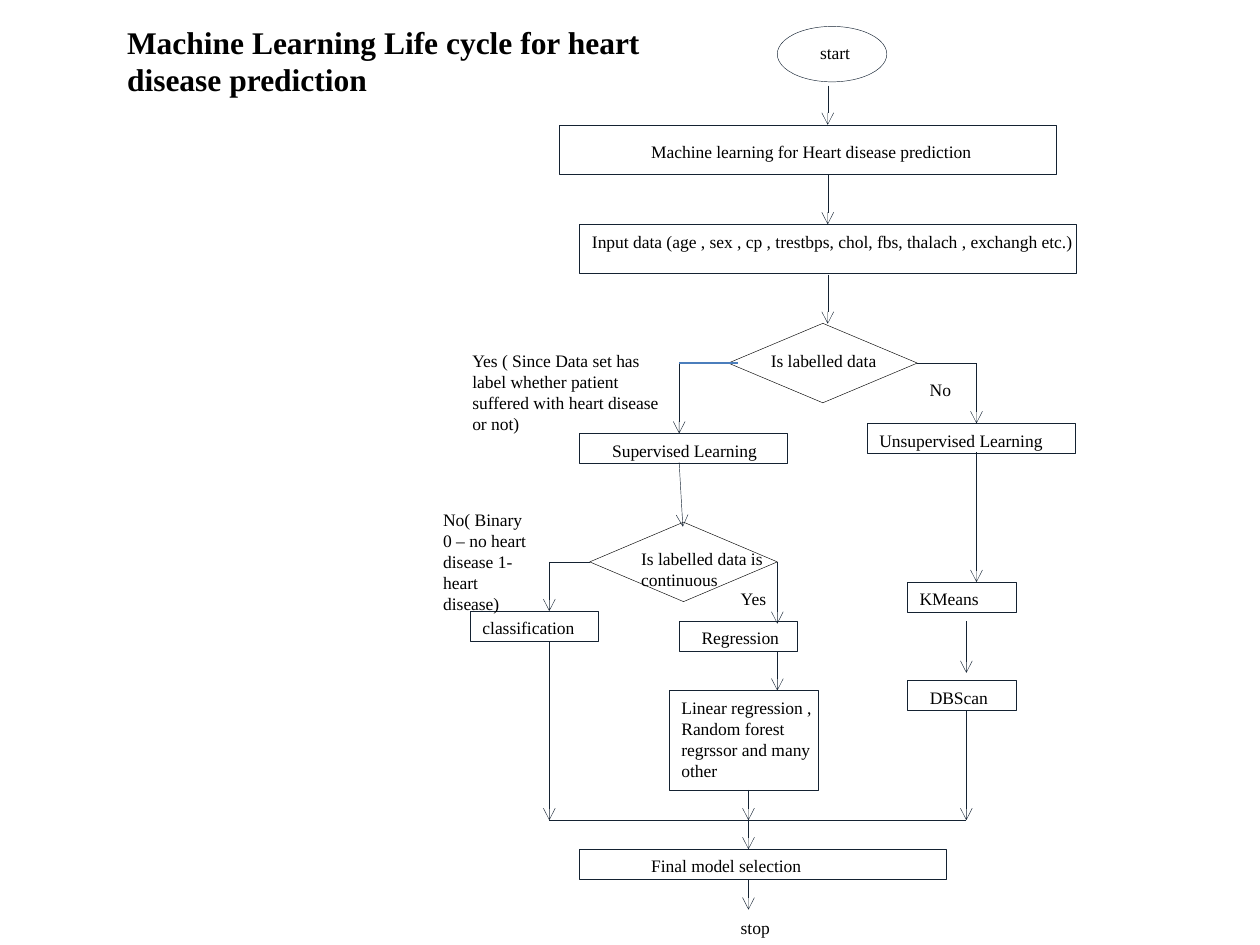
from lxml import etree
from pptx import Presentation
from pptx.dml.color import RGBColor
from pptx.enum.shapes import MSO_CONNECTOR, MSO_SHAPE
from pptx.enum.text import MSO_AUTO_SIZE
from pptx.oxml.ns import qn
from pptx.util import Pt

FONT = "Times New Roman"
BLACK, NAVY, BLUE = "000000", "142232", "4B7EBC"
LEFT, RIGHT = 1, 3  # connection sites

# Centre lines of the flow and heights of its turns
MAIN, UNSUPERVISED, SUPERVISED = 473, 558, 388.1
CLASSIFICATION, REGRESSION, CLUSTERING, FINAL = 313.9, 444.2, 552.2, 427.7
LABELLED_Y, CONTINUOUS_Y, MERGE_Y = 207.5, 321.1, 468.7
STEP_H, BAND_H, DECISION_H = 17.3, 28.1, 45.4

# Outlines: name -> (preset, left, top, width, height, line colour)
RECT, DIAMOND = MSO_SHAPE.RECTANGLE, MSO_SHAPE.DIAMOND
outlines = {
    "start": (MSO_SHAPE.OVAL, 444.2, 15.1, 62.6, 31.7, NAVY),
    "topic": (RECT, 319.7, 71.3, 283.7, BAND_H, NAVY),
    "input": (RECT, 331.2, 128.2, 283.7, BAND_H, NAVY),
    "labelled": (DIAMOND, 416.2, LABELLED_Y - DECISION_H / 2, 108, DECISION_H, BLACK),
    "supervised": (RECT, 331.2, 247.7, 118.8, STEP_H, NAVY),
    "unsupervised": (RECT, 495.4, 241.9, 118.8, STEP_H, NAVY),
    "continuous": (DIAMOND, 337, CONTINUOUS_Y - DECISION_H / 2, 107.2, DECISION_H, BLACK),
    "classification": (RECT, 268.6, 349.2, 73.4, STEP_H, NAVY),
    "regression": (RECT, 388.1, 355, 67.7, STEP_H, NAVY),
    "regressors": (RECT, 382.3, 394.6, 85, 56.9, NAVY),
    "kmeans": (RECT, 518.4, 332.6, 62.6, STEP_H, NAVY),
    "dbscan": (RECT, 518.4, 388.8, 62.6, STEP_H, NAVY),
    "final": (RECT, 331.2, 485.3, 209.5, STEP_H, NAVY),
}

# Labels: (text, left, top, width, height)
LINE_H = 19.4
labels = [
    ("start", 461.5, 20.2, 73.4, LINE_H),
    ("Machine learning for Heart disease prediction", 365, 77, 295.2, LINE_H),
    ("Input data (age , sex , cp , trestbps, chol, fbs, thalach , exchangh etc.)",
     331.2, 128.2, 300.2, LINE_H),
    ("Is labelled data", 433.4, 196.6, 169.9, LINE_H),
    ("Yes ( Since Data set has label whether patient suffered with heart disease or not)",
     262.8, 196.6, 130.3, 55.4),
    ("No", 524.2, 213.1, 67.7, LINE_H),
    ("Supervised Learning", 342.7, 247.7, 130.3, LINE_H),
    ("Unsupervised Learning", 495.4, 241.9, 169.9, LINE_H),
    ("Is labelled data is continuous", 359.3, 309.6, 85, 31.7),
    ("No( Binary 0 – no heart disease 1- heart disease)", 246.2, 287.3, 62.6, 67.7),
    ("Yes", 416.2, 332.6, 45.4, LINE_H),
    ("classification", 268.6, 349.2, 102.2, LINE_H),
    ("Regression", 393.8, 355, 102.2, LINE_H),
    ("Linear regression , Random forest regrssor and many other",
     382.3, 394.6, 90.7, 55.4),
    ("KMeans", 518.4, 332.6, 56.9, LINE_H),
    ("DBScan", 524.2, 388.8, 56.9, LINE_H),
    ("Final model selection", 365, 485.3, 169.9, LINE_H),
    ("stop", 416.2, 520.6, 62.6, LINE_H),
]

# Vertical arrows: (x, top, bottom)
down_arrows = [
    (MAIN, 49, 71.3), (MAIN, 100.1, 128.2), (MAIN, 157, 185),
    (SUPERVISED, LABELLED_Y, 247.7), (UNSUPERVISED, LABELLED_Y, 241.9),
    (UNSUPERVISED, 258.5, 332.6), (CLUSTERING, 355, 384.5),
    (CLUSTERING, 406.1, MERGE_Y), (CLASSIFICATION, CONTINUOUS_Y, 349.2),
    (CLASSIFICATION, 366.5, MERGE_Y), (REGRESSION, 372.2, 394.6),
    (FINAL, 451.4, MERGE_Y), (FINAL, MERGE_Y, 485.3), (FINAL, 502.6, 519.8),
]

prs = Presentation()
prs.slide_width, prs.slide_height = Pt(720), Pt(540)
slide = prs.slides.add_slide(prs.slide_layouts[6])


def color(hex_value):
    return RGBColor.from_string(hex_value)


def add_outline(preset, left, top, width, height, line):
    outline = slide.shapes.add_shape(preset, Pt(left), Pt(top), Pt(width), Pt(height))
    outline.shadow.inherit = False
    outline.fill.background()
    outline.line.color.rgb = color(line)
    outline.line.width = Pt(0.25)
    return outline


def add_label(text, left, top, width, height, size=10, bold=False):
    label = slide.shapes.add_textbox(Pt(left), Pt(top), Pt(width), Pt(height))
    frame = label.text_frame
    frame.word_wrap = True
    frame.auto_size = MSO_AUTO_SIZE.SHAPE_TO_FIT_TEXT
    run = frame.paragraphs[0].add_run()
    run.text = text
    run.font.name, run.font.size, run.font.bold = FONT, Pt(size), bold
    run.font.color.rgb = color(BLACK)


def add_link(x1, y1, x2, y2, arrow=False, line=NAVY, width=0.25):
    link = slide.shapes.add_connector(
        MSO_CONNECTOR.STRAIGHT, Pt(x1), Pt(y1), Pt(x2), Pt(y2))
    link.line.color.rgb = color(line)
    link.line.width = Pt(width)
    if arrow:
        etree.SubElement(link.line._get_or_add_ln(), qn("a:tailEnd"), type="arrow")
    etree.SubElement(link._element.spPr, qn("a:effectLst"))
    return link


# Boxes and decisions
steps = {name: add_outline(*outline) for name, outline in outlines.items()}

# Flow arrows
for x, top, bottom in down_arrows:
    add_link(x, top, x, bottom, arrow=True)
add_link(SUPERVISED, 264.2, 390.2, 301, arrow=True)

# Branches out of the decisions
add_link(524.2, LABELLED_Y, UNSUPERVISED, LABELLED_Y).begin_connect(
    steps["labelled"], RIGHT)
add_link(SUPERVISED, LABELLED_Y, 421.9, LABELLED_Y, line=BLUE, width=0.75)
add_link(CLASSIFICATION, CONTINUOUS_Y, 337, CONTINUOUS_Y).end_connect(
    steps["continuous"], LEFT)
add_link(REGRESSION, CONTINUOUS_Y, REGRESSION, 356.4, arrow=True).begin_connect(
    steps["continuous"], RIGHT)

# Merge line
add_link(CLASSIFICATION, MERGE_Y, CLUSTERING, MERGE_Y)

# Title and labels
add_label("Machine Learning Life cycle for heart disease prediction",
          65.5, 9.4, 311, 51.1, size=18, bold=True)
for label in labels:
    add_label(*label)

prs.save("out.pptx")
